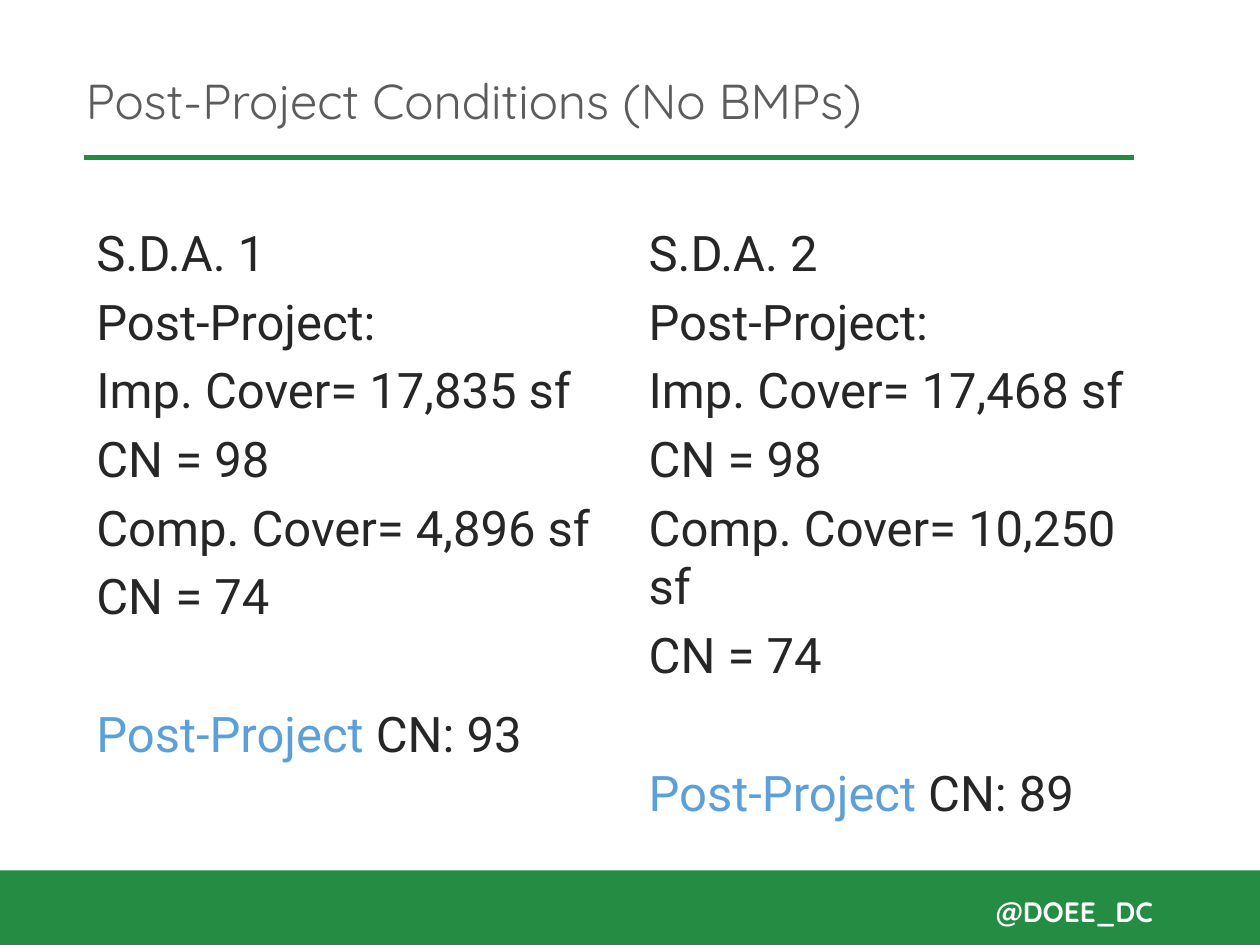
from dataclasses import dataclass

from lxml import etree
from pptx import Presentation
from pptx.dml.color import RGBColor
from pptx.enum.shapes import MSO_CONNECTOR, MSO_SHAPE
from pptx.enum.text import MSO_ANCHOR, PP_ALIGN
from pptx.oxml.ns import qn
from pptx.util import Inches, Pt

RECTANGLE = MSO_SHAPE.RECTANGLE
STRAIGHT = MSO_CONNECTOR.STRAIGHT
TOP, MIDDLE = MSO_ANCHOR.TOP, MSO_ANCHOR.MIDDLE
LEFT, RIGHT = PP_ALIGN.LEFT, PP_ALIGN.RIGHT
COLUMNS, ROWS = 120, 90


@dataclass(frozen=True)
class Theme:
    heading_font: str = "Quicksand"
    body_font: str = "Roboto"
    heading: str = "5C5C5C"
    body: str = "262626"
    accent: str = "5D9FD7"
    rule: str = "218B40"
    band: str = "248C43"
    on_band: str = "FFFFFF"
    main_size: float = 28
    handle_size: float = 16
    rule_width: float = 3
    line_gap: float = 5.6
    result_gap: float = 45


def write(paragraph, text, *, font, size, color, bold=False, align=LEFT, before=0):
    paragraph.alignment = align
    paragraph.space_before = Pt(before)
    run = paragraph.add_run()
    run.text = text
    run.font.name = font
    run.font.size = Pt(size)
    run.font.bold = bold
    run.font.color.rgb = RGBColor.from_string(color)


class SlideBuilder:
    def __init__(self, deck, theme):
        self.theme = theme
        self.column = deck.slide_width / COLUMNS
        self.row = deck.slide_height / ROWS
        self.slide = deck.slides.add_slide(deck.slide_layouts[6])

    def place(self, left, top, width, height):
        return (round(left * self.column), round(top * self.row),
                round(width * self.column), round(height * self.row))

    def frame(self, area, anchor=TOP):
        frame = self.slide.shapes.add_textbox(*self.place(*area)).text_frame
        frame.word_wrap = True
        frame.vertical_anchor = anchor
        return frame

    def label(self, area, text, anchor=TOP, **style):
        write(self.frame(area, anchor).paragraphs[0], text, **style)

    def band(self, area):
        band = self.slide.shapes.add_shape(RECTANGLE, *self.place(*area))
        band.shadow.inherit = False
        band.fill.solid()
        band.fill.fore_color.rgb = RGBColor.from_string(self.theme.band)
        band.line.fill.background()

    def rule(self, left, right, row):
        start_x, y, end_x, _ = self.place(left, row, right, 0)
        rule = self.slide.shapes.add_connector(STRAIGHT, start_x, y, end_x, y)
        rule.line.color.rgb = RGBColor.from_string(self.theme.rule)
        rule.line.width = Pt(self.theme.rule_width)
        etree.SubElement(rule._element.spPr, qn("a:effectLst"))

    def drainage_area(self, area, number, impervious, compacted, result):
        theme = self.theme
        style = dict(font=theme.body_font, size=theme.main_size)
        frame = self.frame(area)
        facts = (f"S.D.A. {number}", "Post-Project:",
                 f"Imp. Cover= {impervious} sf", "CN = 98",
                 f"Comp. Cover= {compacted} sf", "CN = 74")
        for index, fact in enumerate(facts):
            paragraph = frame.add_paragraph() if index else frame.paragraphs[0]
            write(paragraph, fact, color=theme.body,
                  before=theme.line_gap if index else 0, **style)
        summary = frame.add_paragraph()
        for text, color in (("Post-Project", theme.accent),
                            (f" CN: {result}", theme.body)):
            write(summary, text, color=color, before=theme.result_gap, **style)


def main():
    deck = Presentation()
    deck.slide_width, deck.slide_height = Inches(10), Inches(7.5)
    theme = Theme()
    builder = SlideBuilder(deck, theme)

    builder.label((7, 3, 96.6, 13), "Post-Project Conditions (No BMPs)", MIDDLE,
                  font=theme.heading_font, size=theme.main_size, color=theme.heading)
    builder.rule(8, 108, 15)
    builder.band((-3, 82.9, 129, 8))
    builder.label((93, 84.6, 18, 4.4), "@DOEE_DC", font=theme.heading_font,
                  size=theme.handle_size, color=theme.on_band, bold=True, align=RIGHT)

    drainage_areas = (("17,835", "4,896", 93), ("17,468", "10,250", 89))
    for index, figures in enumerate(drainage_areas):
        builder.drainage_area((8 + 52.6 * index, 20.6, 51, 57.1), index + 1, *figures)

    deck.save("out.pptx")


if __name__ == "__main__":
    main()
